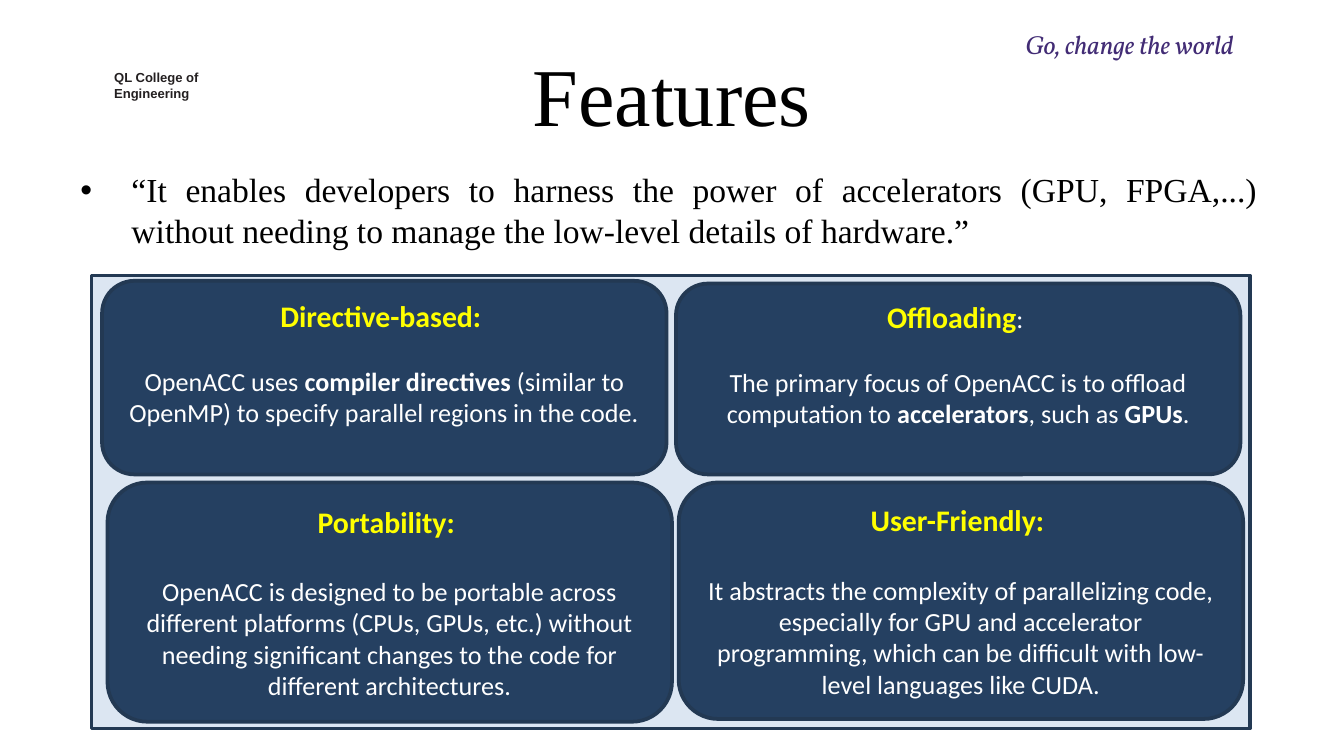
"""Build the Features slide: a quoted summary above four feature cards."""
from lxml import etree
from pptx import Presentation
from pptx.dml.color import RGBColor
from pptx.enum.shapes import MSO_SHAPE
from pptx.enum.text import MSO_ANCHOR, PP_ALIGN
from pptx.oxml.ns import qn
from pptx.util import Inches, Pt

BLACK = RGBColor(0, 0, 0)
INK = RGBColor(0x23, 0x1F, 0x20)
PURPLE = RGBColor(0x42, 0x2C, 0x75)
YELLOW = RGBColor(0xFF, 0xFF, 0)
WHITE = RGBColor(0xFF, 0xFF, 0xFF)
PALE = RGBColor(0xDC, 0xE6, 0xF2)
NAVY = RGBColor(0x25, 0x40, 0x61)
EDGE = RGBColor(0x23, 0x39, 0x53)
PANEL = MSO_SHAPE.FLOWCHART_PROCESS
CARD = MSO_SHAPE.FLOWCHART_ALTERNATE_PROCESS
LEFT, CENTER, JUSTIFY = PP_ALIGN.LEFT, PP_ALIGN.CENTER, PP_ALIGN.JUSTIFY
TOP, MIDDLE = MSO_ANCHOR.TOP, MSO_ANCHOR.MIDDLE
SERIF = "Times New Roman"
WIDTH = Inches(10)
HEIGHT = WIDTH * 9 // 16

TITLE = "Features"
SCHOOL = ["QL College of", "Engineering"]
MOTTO = "Go, change the world"
QUOTE = ("“It enables developers to harness the power of accelerators (GPU, FPGA,...) "
         "without needing to manage the low-level details of hardware.”")
CARDS = [
    {"box": (0.76, 2.09, 4.2, 1.44), "head": "Directive-based: ", "tail": "",
     "body": [("OpenACC uses ", False), ("compiler directives", True),
              (" (similar to OpenMP) to specify parallel regions in the code.", False)],
     "gap": 17, "foot": 0.27},
    {"box": (0.8, 3.59, 4.2, 1.78), "head": "Portability: ", "tail": "",
     "body": [("OpenACC is designed to be portable across different platforms "
               "(CPUs, GPUs, etc.) without needing significant changes to the code "
               "for different architectures.", False)],
     "gap": 19.5, "foot": 0.05},
    {"box": (5.03, 2.11, 4.2, 1.42), "head": "Offloading", "tail": ": ",
     "body": [("The primary focus of OpenACC is to offload computation to ", False),
              ("accelerators", True), (", such as ", False), ("GPUs", True), (".", False)],
     "gap": 17, "foot": 0.28},
    {"box": (5.05, 3.59, 4.2, 1.76), "head": "User-Friendly: ", "tail": "",
     "body": [("It abstracts the complexity of parallelizing code, especially for GPU "
               "and accelerator programming, which can be difficult with low-level "
               "languages like CUDA.", False)],
     "gap": 19.5, "foot": 0.05},
]


def write(para, text, size=14, font="Calibri", color=WHITE, bold=False,
          italic=False, align=LEFT, lines=None, before=0):
    """Add a run to a paragraph and format both."""
    para.alignment = align
    para.space_before = Pt(before)
    if lines:
        para.line_spacing = lines
    run = para.add_run()
    run.text = text
    face = run.font
    face.size, face.name = Pt(size), font
    face.bold, face.italic = bold, italic
    face.color.rgb = color


def place(shape, box):
    """Set the place and size of a shape in inches."""
    shape.left, shape.top, shape.width, shape.height = map(Inches, box)


def frame(shape, pads, anchor=TOP):
    """Ready a text frame with its four insets."""
    text = shape.text_frame
    text.word_wrap = True
    text.vertical_anchor = anchor
    (text.margin_left, text.margin_top,
     text.margin_right, text.margin_bottom) = map(Inches, pads)
    return text


def add_box(slide, box, pads):
    """Add a text box and return its frame."""
    return frame(slide.shapes.add_textbox(*map(Inches, box)), pads)


def add_form(slide, kind, box, fill):
    """Add a filled, outlined preset shape."""
    shape = slide.shapes.add_shape(kind, *map(Inches, box))
    shape.shadow.inherit = False
    shape.fill.solid()
    shape.fill.fore_color.rgb = fill
    shape.line.color.rgb = EDGE
    shape.line.width = Pt(2)
    return shape


def add_bullet(para, indent):
    """Give a paragraph a hanging round bullet."""
    props = para._p.get_or_add_pPr()
    props.set("marL", str(Inches(indent)))
    props.set("indent", str(-Inches(indent)))
    etree.SubElement(props, qn("a:buFont")).set("typeface", "Arial")
    etree.SubElement(props, qn("a:buChar")).set("char", "•")


def add_card(slide, card):
    """Add one feature card with its heading and text."""
    shape = add_form(slide, CARD, card["box"], NAVY)
    text = frame(shape, (0.1, 0.05, 0.1, card["foot"]), MIDDLE)
    head = text.paragraphs[0]
    write(head, card["head"], size=16, color=YELLOW, bold=True, align=CENTER)
    if card["tail"]:
        write(head, card["tail"], align=CENTER)
    body = text.add_paragraph()
    for words, bold in card["body"]:
        write(body, words, bold=bold, align=CENTER, before=card["gap"])


def main():
    """Lay out the slide and save it."""
    deck = Presentation()
    deck.slide_width, deck.slide_height = WIDTH, HEIGHT
    slide = deck.slides.add_slide(deck.slide_layouts[5])

    title = slide.shapes.title
    place(title, (0.5, 0.23, 9, 0.94))
    text = frame(title, (0.1, 0.05, 0.1, 0.05), MIDDLE)
    write(text.paragraphs[0], TITLE, size=44, font=SERIF, color=BLACK, align=CENTER)

    quote = add_box(slide, (0.5, 0.85, 8.96, 4.43), (0.1, 0.41, 0.1, 0.05)).paragraphs[0]
    write(quote, QUOTE, size=18, font=SERIF, color=BLACK, align=JUSTIFY)
    add_bullet(quote, 0.38)

    school = add_box(slide, (0.85, 0.5, 0.89, 0.24), (0, 0.01, 0, 0))
    for at, line in enumerate(SCHOOL):
        para = school.add_paragraph() if at else school.paragraphs[0]
        write(para, line, size=7, font="Arial", color=INK, bold=True, lines=1.06)

    motto = add_box(slide, (7.63, 0.2, 2.08, 0.24), (0, 0.01, 0, 0))
    write(motto.paragraphs[0], MOTTO, font="Vollkorn", color=PURPLE, italic=True)

    add_form(slide, PANEL, (0.68, 2.05, 8.62, 3.37), PALE)
    for card in CARDS:
        add_card(slide, card)
    deck.save("out.pptx")


if __name__ == "__main__":
    main()
